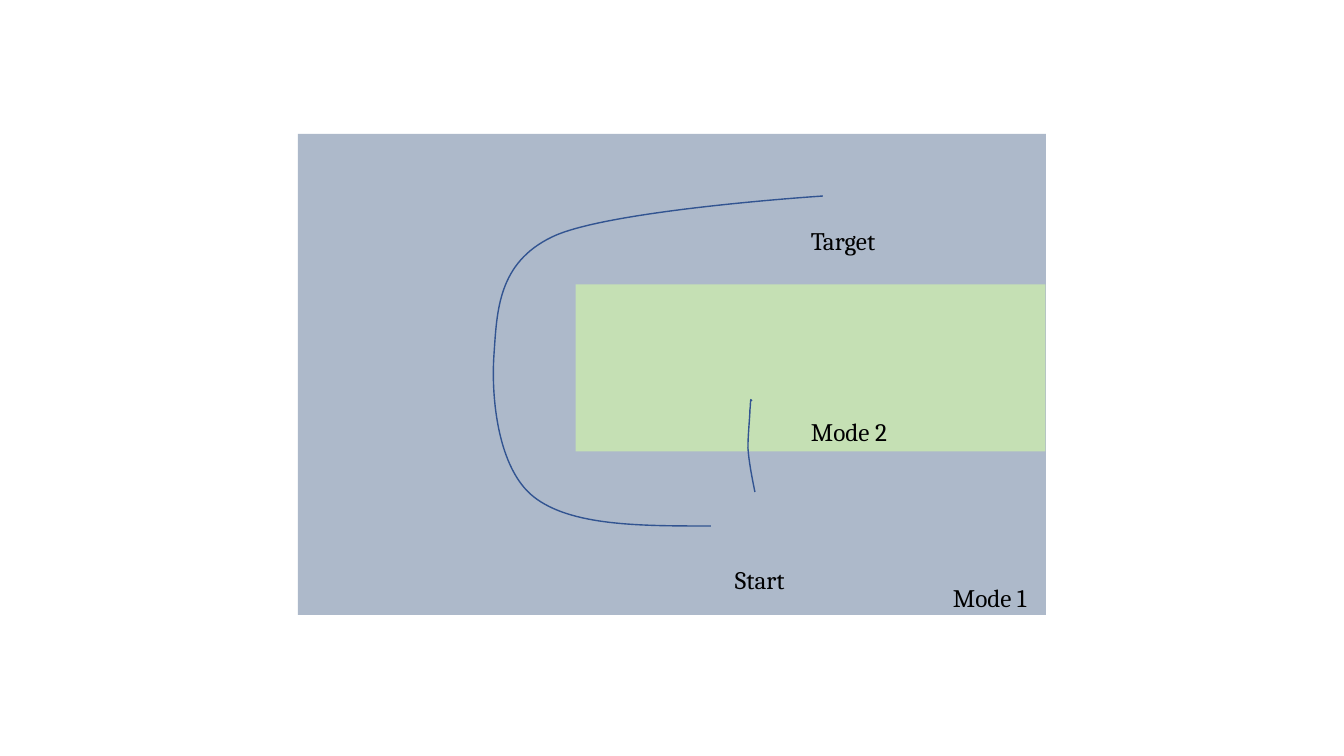
import pptx
import pptx.dml.color
import pptx.enum.shapes
import pptx.enum.text
import pptx.oxml.ns
import pptx.util
import lxml.etree

PX = 914400 / 100.8
COLORS = {"mode 1": "ADB9CA", "mode 2": "C5E0B4", "path": "325491", "text": "000000"}


def emu(px):
    return pptx.util.Emu(round(px * PX))


def color(name):
    return pptx.dml.color.RGBColor.from_string(COLORS[name])


deck = pptx.Presentation()
deck.slide_width, deck.slide_height = emu(1344), emu(756)
slide = deck.slides.add_slide(deck.slide_layouts[6])

# Mode regions; the second is an upright bar turned on its side
regions = [("mode 1", 0, 298, 134, 748, 481), ("mode 2", 90, 727, 133, 167, 470)]
for mode, turn, *box in regions:
    region = slide.shapes.add_shape(
        pptx.enum.shapes.MSO_SHAPE.RECTANGLE, *map(emu, box))
    region.rotation = turn
    region.shadow.inherit = False
    region.fill.solid()
    region.fill.fore_color.rgb = color(mode)
    region.line.fill.background()

# Labels
labels = [
    ("Mode 2", 801, 411, 123),
    ("Mode 1", 943, 577, 123),
    ("Start", 725, 559, 113),
    ("Target", 801, 220, 123),
]
for wording, left, top, width in labels:
    label = slide.shapes.add_textbox(emu(left), emu(top), emu(width), emu(40))
    label.text_frame.word_wrap = True
    label.text_frame.auto_size = pptx.enum.text.MSO_AUTO_SIZE.SHAPE_TO_FIT_TEXT
    run = label.text_frame.paragraphs[0].add_run()
    run.text = wording
    run.font.name = "Cambria"
    run.font.size = pptx.util.Pt(18)
    run.font.color.rgb = color("text")

# Trajectories: a start point, then two control points and an end per segment
trajectories = [
    [(755, 492),
     (752, 477), (749, 462), (748, 448),
     (748, 434), (750, 417), (750, 410),
     (751, 402), (750, 397), (752, 401)],
    [(711, 526),
     (640, 526), (571, 526), (534, 497),
     (498, 469), (491, 398), (494, 355),
     (497, 311), (498, 263), (552, 237),
     (607, 210), (823, 196), (823, 196)],
]
for knots in trajectories:
    outline = slide.shapes.build_freeform(*map(emu, knots[0]))
    outline.add_line_segments(
        [tuple(map(emu, knot)) for knot in knots[3::3]], close=False)
    trajectory = outline.convert_to_shape()
    trajectory.shadow.inherit = False
    trajectory.fill.background()
    trajectory.line.color.rgb = color("path")
    trajectory.line.width = pptx.util.Pt(1)

    # Bend each straight segment with its two control points
    segments = trajectory._element.xpath(".//a:lnTo")
    for index, segment in enumerate(segments):
        curve = lxml.etree.Element(pptx.oxml.ns.qn("a:cubicBezTo"))
        for x, y in knots[3 * index + 1:3 * index + 4]:
            lxml.etree.SubElement(
                curve, pptx.oxml.ns.qn("a:pt"),
                x=str(emu(x) - trajectory.left), y=str(emu(y) - trajectory.top))
        segment.getparent().replace(segment, curve)

deck.save("out.pptx")
